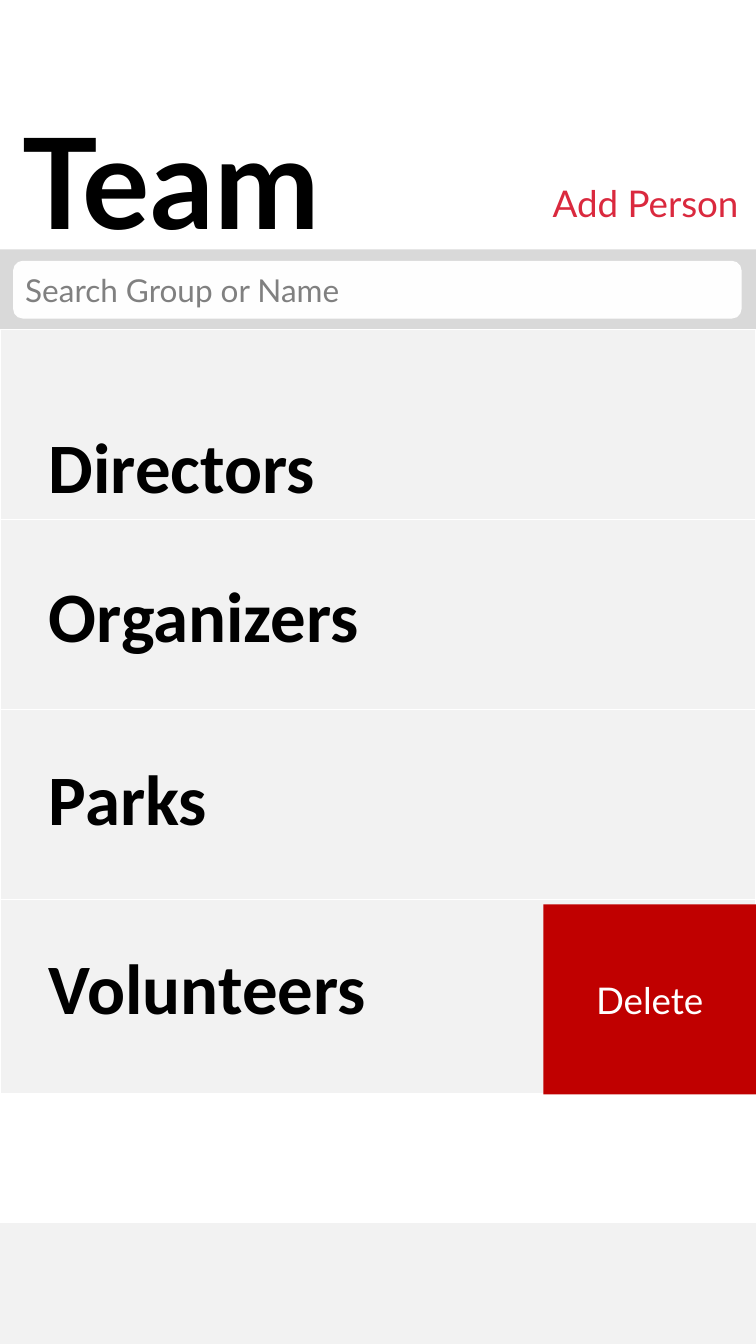
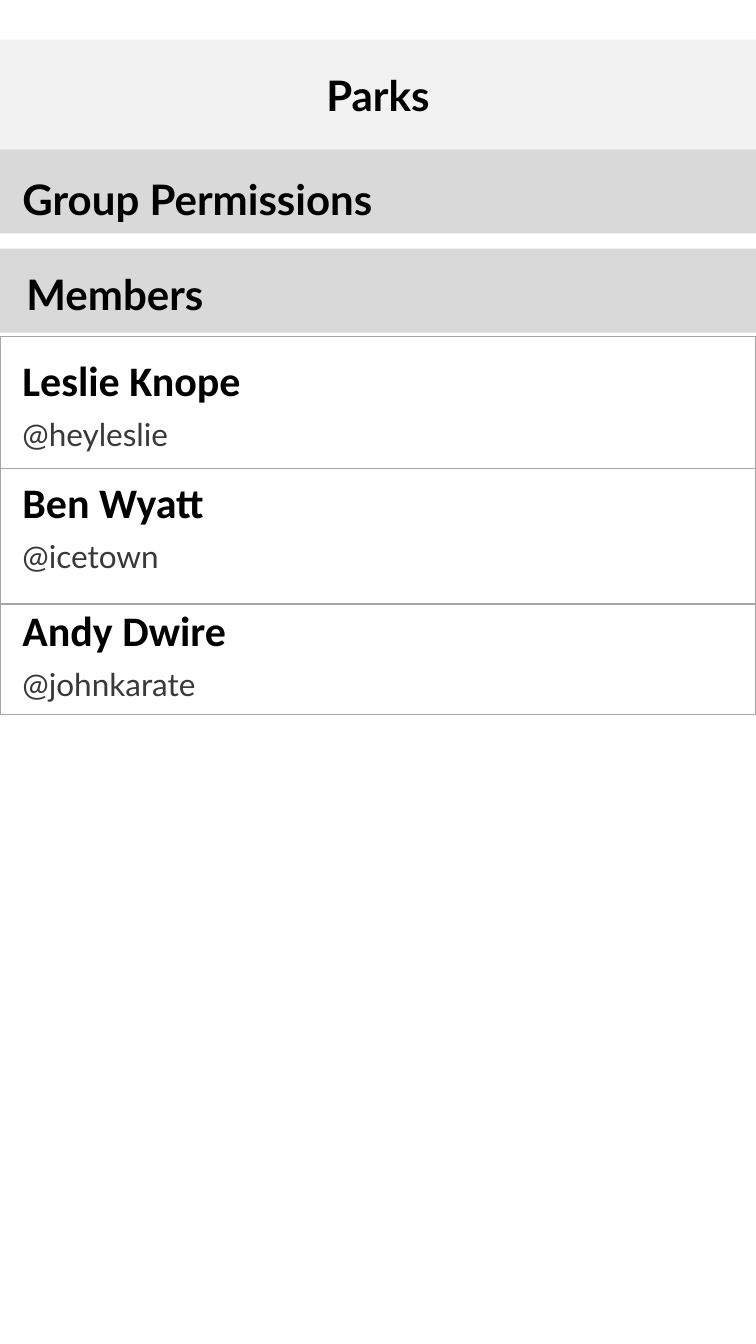
from lxml import etree
from pptx import Presentation
from pptx.dml.color import RGBColor
from pptx.enum.shapes import MSO_SHAPE
from pptx.enum.text import MSO_ANCHOR, MSO_AUTO_SIZE, PP_ALIGN
from pptx.oxml.ns import qn
from pptx.util import Pt

WIDTH, HEIGHT = 576, 1023.84
COLORS = {
    "text": "000000", "white": "FFFFFF", "field": "FEFEFE", "panel": "F2F2F2",
    "band": "D9D9D9", "rule": "A5A5A5", "hint": "808080", "handle": "3B3838",
    "action": "DA293E", "delete": "C00000",
}
HEADING, BODY = "Lato", "Calibri"


class Screen:
    """Hold the app style and the slide being built."""

    def __init__(self, presentation):
        self.presentation = presentation
        self.slide = None

    def start(self):
        layout = self.presentation.slide_layouts[5]
        self.slide = self.presentation.slides.add_slide(layout)

    def place(self, shape, box):
        shape.left, shape.top, shape.width, shape.height = map(Pt, box)

    def set_text(self, shape, text, size, color="text", font=HEADING, bold=False,
                 align=PP_ALIGN.LEFT, anchor=MSO_ANCHOR.TOP, wrap=True):
        frame = shape.text_frame
        frame.text = text
        frame.word_wrap = wrap
        frame.vertical_anchor = anchor
        paragraph = frame.paragraphs[0]
        paragraph.alignment = align
        run_font = paragraph.runs[0].font
        run_font.name, run_font.size, run_font.bold = font, Pt(size), bold
        run_font.color.rgb = RGBColor.from_string(COLORS[color])

    def title(self, text, box, size, align=PP_ALIGN.LEFT):
        title = self.slide.shapes.title
        self.slide.shapes._spTree.append(title._element)
        self.set_text(title, text, size, bold=True, align=align)
        title.text_frame.auto_size = MSO_AUTO_SIZE.SHAPE_TO_FIT_TEXT
        self.place(title, box)

    def label(self, text, box, size, **style):
        label = self.slide.shapes.add_textbox(*map(Pt, box))
        self.set_text(label, text, size, **style)
        label.text_frame.auto_size = MSO_AUTO_SIZE.SHAPE_TO_FIT_TEXT

    def block(self, box, fill, kind=MSO_SHAPE.RECTANGLE):
        shape = self.slide.shapes.add_shape(kind, *map(Pt, box))
        shape.shadow.inherit = False
        shape.fill.solid()
        shape.fill.fore_color.rgb = RGBColor.from_string(COLORS[fill])
        shape.line.fill.background()
        return shape

    def rows(self, top, heights, fill, border):
        graphic = self.slide.shapes.add_table(
            len(heights), 1, 0, Pt(top), Pt(WIDTH), Pt(sum(heights)))
        table = graphic.table
        table.first_row = table.horz_banding = False
        for row, height in zip(table.rows, heights):
            row.height = Pt(height)
            cell = row.cells[0]
            cell.fill.solid()
            cell.fill.fore_color.rgb = RGBColor.from_string(COLORS[fill])
            self.outline(cell, border)

    def outline(self, cell, color):
        properties = cell._tc.get_or_add_tcPr()
        for index, side in enumerate(("a:lnL", "a:lnR", "a:lnT", "a:lnB")):
            line = etree.Element(qn(side), w=str(Pt(1)))
            solid = etree.SubElement(line, qn("a:solidFill"))
            etree.SubElement(solid, qn("a:srgbClr"), val=COLORS[color])
            properties.insert(index, line)


def build_team(screen):
    screen.start()
    screen.title("Team", (10, 75, 382, 124), 96)
    screen.block((0, 931.7, WIDTH, 94.3), "panel")
    screen.rows(251.3, [144.7] * 3 + [147.6], "panel", "white")
    groups = {"Directors": 318.2, "Organizers": 432, "Parks": 571.7, "Volunteers": 715}
    for group, top in groups.items():
        screen.label(group, (30.2, top, 322, 72.7), 54, font=BODY, bold=True)
    screen.block((0, 190, WIDTH, 60.5), "band")
    search = screen.block((10, 198.7, 555, 44), "field", MSO_SHAPE.ROUNDED_RECTANGLE)
    screen.set_text(search, "Search Group or Name", 24, "hint", anchor=MSO_ANCHOR.MIDDLE)
    screen.label("Add Person", (414, 134, 162, 41), 28, color="action", wrap=False)
    delete = screen.block((414, 689, 162, 144.7), "delete")
    screen.set_text(delete, "Delete", 28, "white", align=PP_ALIGN.CENTER,
                    anchor=MSO_ANCHOR.MIDDLE)


def build_group(screen):
    screen.start()
    screen.block((0, 30.2, WIDTH, 84.2), "panel")
    screen.title("Parks", (31.7, 49, 512.6, 46), 32, PP_ALIGN.CENTER)
    sections = [("Group Permissions", 113.8, 10, 128.9), ("Members", 189.4, 13, 200.9)]
    for section, band_top, left, text_top in sections:
        screen.block((0, band_top, WIDTH, 64), "band")
        screen.label(section, (left, text_top, 512.6, 46), 32, bold=True)
    screen.rows(256.3, [100.8, 103, 84.2], "white", "rule")
    members = [("Leslie Knope", "@heyleslie", 266.4), ("Ben Wyatt", "@icetown", 359.3),
               ("Andy Dwire", "@johnkarate", 457.2)]
    for name, handle, top in members:
        screen.label(name, (10, top, 254, 46), 32, font=BODY, bold=True)
        screen.label(handle, (10, top + 46, 286, 36), 24, color="handle")


def main():
    presentation = Presentation()
    presentation.slide_width, presentation.slide_height = Pt(WIDTH), Pt(HEIGHT)
    screen = Screen(presentation)
    build_team(screen)
    build_group(screen)
    presentation.save("out.pptx")


if __name__ == "__main__":
    main()
